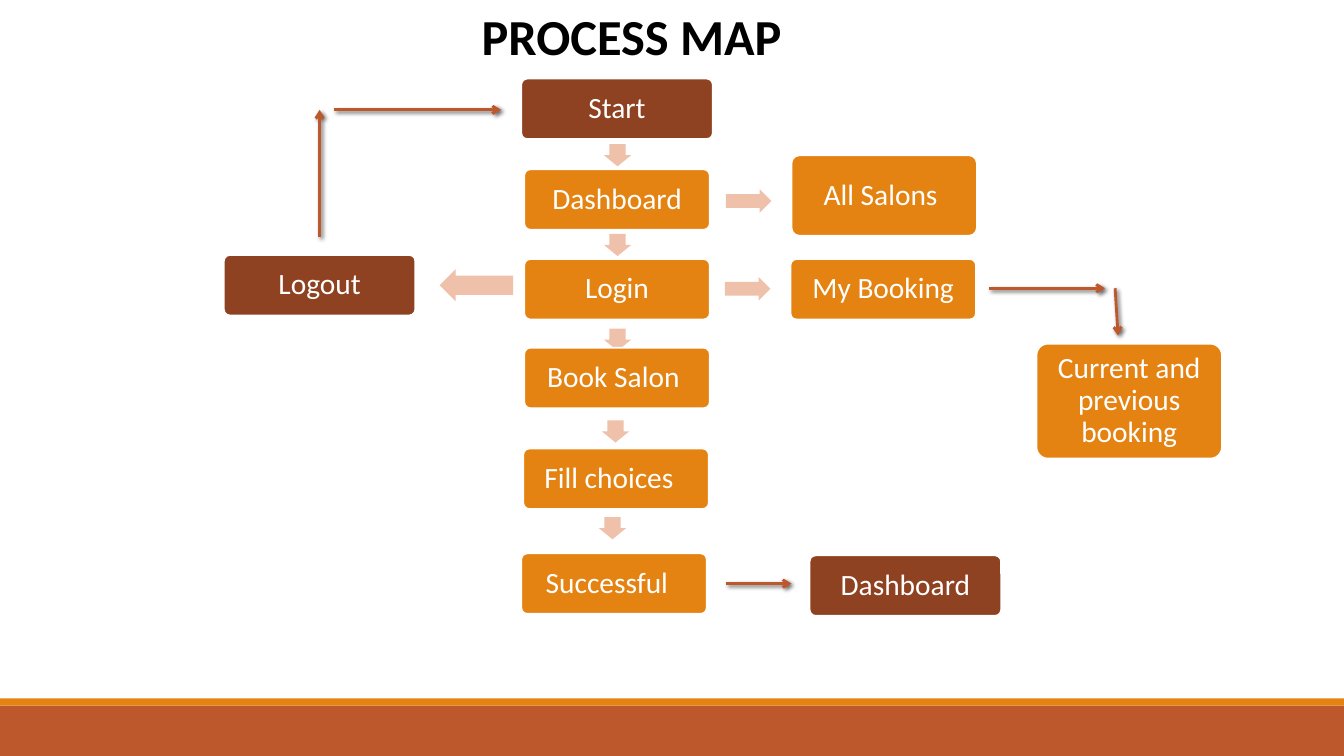
from lxml import etree
from pptx import Presentation
from pptx.dml.color import RGBColor
from pptx.enum.shapes import MSO_CONNECTOR, MSO_SHAPE as Shape
from pptx.enum.text import MSO_ANCHOR, PP_ALIGN
from pptx.oxml import parse_xml
from pptx.oxml.ns import qn
from pptx.util import Inches, Pt

COLORS = {
    "rust": "BD582C", "orange": "E48312", "brown": "8E4221",
    "peach": "EFC1AB", "white": "FFFFFF", "black": "000000",
}
STEP_SIZE = (1.84, 0.6)
END_SIZE = (1.9, 0.6)
DOWN_SIZE = (0.27, 0.22)
SIDE_SIZE = (0.45, 0.23)
SPACE = 0.07  # extra right inset that nudges a label to the left
SHADOW = (
    '<a:effectLst xmlns:a="http://schemas.openxmlformats.org/drawingml/2006/main">'
    '<a:outerShdw blurRad="38100" dist="25400" dir="2700000" rotWithShape="0">'
    '<a:srgbClr val="000000"><a:alpha val="60000"/></a:srgbClr>'
    '</a:outerShdw></a:effectLst>'
)


def rgb(name):
    return RGBColor.from_string(COLORS[name])


def apply_format(target, values):
    for name, value in values.items():
        setattr(target, name, value)


def place(box, offset, size):
    """Absolute left, top, width, height of a part inside a region."""
    return [Inches(v) for v in (box[0] + offset[0], box[1] + offset[1], *size)]


def add_block(slide, kind, bounds, color):
    block = slide.shapes.add_shape(kind, *bounds)
    block.shadow.inherit = False
    block.fill.solid()
    block.fill.fore_color.rgb = rgb(color)
    block.line.fill.background()
    return block


def write_label(frame, text, size, color, bold=False):
    paragraph = frame.paragraphs[0]
    paragraph.alignment = PP_ALIGN.CENTER
    run = paragraph.add_run()
    run.text = text
    apply_format(run.font, {"name": "Calibri", "size": Pt(size), "bold": bold})
    run.font.color.rgb = rgb(color)
    return paragraph


def add_step(slide, box, offset, text, size=STEP_SIZE, color="orange", nudge=0):
    step = add_block(slide, Shape.ROUNDED_RECTANGLE, place(box, offset, size), color)
    step.adjustments[0] = 0.1
    step.line.color.rgb = rgb("white")
    step.line.width = Pt(1.25)
    inset = Inches(0.1)
    apply_format(step.text_frame, {
        "word_wrap": True, "vertical_anchor": MSO_ANCHOR.MIDDLE,
        "margin_left": inset, "margin_right": inset + Inches(nudge),
        "margin_top": inset, "margin_bottom": inset,
    })
    write_label(step.text_frame, text, 21, "white").line_spacing = 0.9


def add_block_arrow(slide, box, offset, size, kind):
    arrow = add_block(slide, kind, place(box, offset, size), "peach")
    arrow.adjustments[0] = 0.6
    arrow.adjustments[1] = 0.5


def add_line_arrow(slide, box, start, end):
    points = [Inches(box[i] + point[i]) for point in (start, end) for i in (0, 1)]
    arrow = slide.shapes.add_connector(MSO_CONNECTOR.STRAIGHT, *points)
    arrow.line.color.rgb = rgb("rust")
    arrow.line.width = Pt(2)
    etree.SubElement(arrow.line._get_or_add_ln(), qn("a:tailEnd"), type="arrow")
    arrow._element.spPr.append(parse_xml(SHADOW))


def add_footer(slide, box):
    add_block(slide, Shape.RECTANGLE, place(box, (0, 0.07), (box[2], 0.5)), "rust")
    add_block(slide, Shape.RECTANGLE, place(box, (0, 0), (box[2], 0.07)), "orange")


def add_title(slide, box):
    title = slide.shapes.add_textbox(*place(box, (0, 0), box[2:]))
    title.text_frame.word_wrap = True
    write_label(title.text_frame, "PROCESS MAP", 36, "black", bold=True)


def add_main_flow(slide, box):
    # Arrows between steps
    for left, top in [(0.82, 0.65), (0.82, 1.54), (0.82, 2.48), (0.8, 3.39), (0.77, 4.35)]:
        add_block_arrow(slide, box, (left, top), DOWN_SIZE, Shape.DOWN_ARROW)
    # Steps from top to bottom
    add_step(slide, box, (0, 0), "Start", END_SIZE, "brown")
    for left, top, text, nudge in [
        (0.03, 0.9, "Dashboard", 0),
        (0.03, 1.79, "Login", 0),
        (0.03, 2.67, "Book Salon", SPACE),
        (0.02, 3.67, "Fill choices", 2 * SPACE),
        (0, 4.71, "Successful", 2 * SPACE),
    ]:
        add_step(slide, box, (left, top), text, nudge=nudge)


def add_logout_loop(slide, box):
    add_block_arrow(slide, box, (2.14, 1.89), (0.73, 0.32), Shape.LEFT_ARROW)
    add_step(slide, box, (0, 1.75), "Logout", END_SIZE, "brown")
    add_line_arrow(slide, box, (0.95, 1.57), (0.95, 0.31))
    add_line_arrow(slide, box, (1.09, 0.31), (2.75, 0.31))


def add_booking_branches(slide, box):
    # Dashboard to salons
    add_block_arrow(slide, box, (0.01, 0.34), SIDE_SIZE, Shape.RIGHT_ARROW)
    add_step(slide, box, (0.66, 0), "All Salons", (1.84, 0.8), nudge=SPACE)
    # Login to bookings
    add_block_arrow(slide, box, (0, 1.21), SIDE_SIZE, Shape.RIGHT_ARROW)
    add_step(slide, box, (0.65, 1.03), "My Booking")
    add_line_arrow(slide, box, (2.62, 1.32), (3.77, 1.32))
    add_line_arrow(slide, box, (3.87, 1.32), (3.9, 1.79))
    add_step(slide, box, (3.09, 1.87), "Current and previous booking", (1.84, 1.14))


def add_completion(slide, box):
    add_line_arrow(slide, box, (0, 0.28), (0.65, 0.28))
    add_step(slide, box, (0.83, 0), "Dashboard", END_SIZE, "brown")


def main():
    deck = Presentation()
    apply_format(deck, {"slide_width": Inches(13.33), "slide_height": Inches(7.5)})
    slide = deck.slides.add_slide(deck.slide_layouts[6])
    # Regions: left, top, width, height
    add_footer(slide, (0, 6.93, 13.33, 0.57))
    add_main_flow(slide, (5.17, 0.78, 1.9, 5.31))
    add_logout_loop(slide, (2.22, 0.78, 2.87, 2.35))
    add_booking_branches(slide, (7.19, 1.54, 4.93, 3.01))
    add_completion(slide, (7.2, 5.51, 2.73, 0.6))
    add_title(slide, (4.12, 0, 4.29, 0.71))
    deck.save("out.pptx")


if __name__ == "__main__":
    main()
